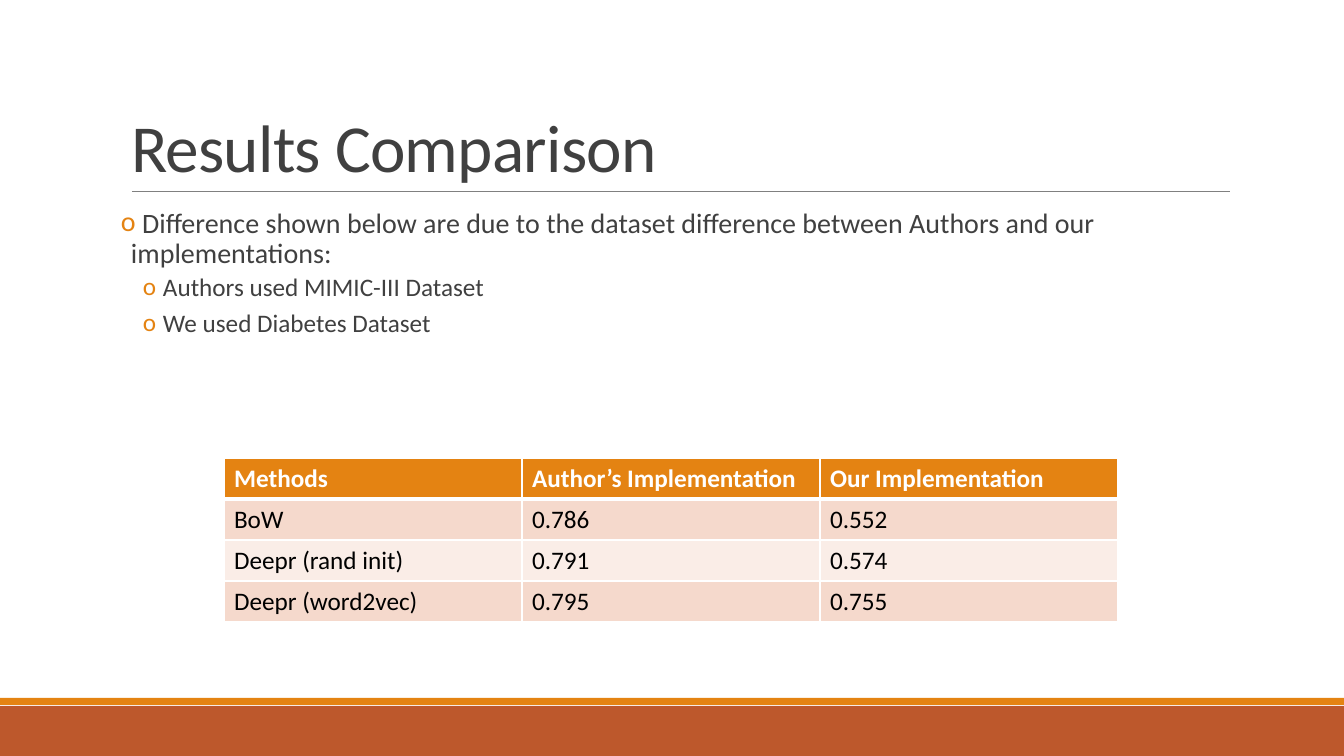
from lxml.etree import SubElement
from pptx import Presentation
from pptx.dml.color import RGBColor
from pptx.enum.shapes import MSO_CONNECTOR, MSO_SHAPE
from pptx.enum.text import MSO_ANCHOR, MSO_AUTO_SIZE, PP_ALIGN
from pptx.oxml.ns import qn
from pptx.util import Pt

EMU_PER_PX = 914400 / 100.8
ORANGE, RUST, GREY, INK, WHITE, BLACK = (
    "E48312", "BD582C", "808080", "404040", "FFFFFF", "000000")
ROW_TINTS = ("F5D9CC", "FAEDE7")


def px(length):
    return round(length * EMU_PER_PX)


def colour(code):
    return RGBColor.from_string(code)


class SlideBuilder:
    def __init__(self, slide, font_name="Calibri"):
        self.slide = slide
        self.shapes = slide.shapes
        self.font_name = font_name

    def style(self, paragraph, size, code, bold=False):
        font = paragraph.font
        font.name, font.size, font.bold = self.font_name, Pt(size), bold
        font.color.rgb = colour(code)

    def place(self, shape, left, top, width, height):
        shape.left, shape.top = px(left), px(top)
        shape.width, shape.height = px(width), px(height)

    def band(self, left, top, width, height, code):
        band = self.shapes.add_shape(
            MSO_SHAPE.RECTANGLE, px(left), px(top), px(width), px(height))
        band.shadow.inherit = False
        band.fill.solid()
        band.fill.fore_color.rgb = colour(code)
        band.line.fill.background()

    def rule(self, left, right, y, code, weight):
        rule = self.shapes.add_connector(
            MSO_CONNECTOR.STRAIGHT, px(left), px(y), px(right), px(y))
        rule.line.color.rgb = colour(code)
        rule.line.width = Pt(weight)
        SubElement(rule._element.spPr, qn("a:effectLst"))

    def title(self, text, left, top, width, height):
        title = self.shapes.title
        self.place(title, left, top, width, height)
        frame = title.text_frame
        frame.text = text
        frame.auto_size = MSO_AUTO_SIZE.NONE
        frame.vertical_anchor = MSO_ANCHOR.BOTTOM
        heading = frame.paragraphs[0]
        heading.alignment = PP_ALIGN.LEFT
        heading.line_spacing = 0.85
        self.style(heading, 48, INK)
        heading._p.pPr.find(qn("a:defRPr")).set("spc", "-50")

    def bullets(self, items, left, top, width, height):
        box = self.shapes.add_textbox(px(left), px(top), px(width), px(height))
        frame = box.text_frame
        frame.word_wrap = True
        frame.margin_left = frame.margin_right = 0
        # Per level: text size, left margin, hanging indent, space before, after
        levels = ((20, 10, 10, 12, 2), (18, 42, 20, 2, 4))
        for index, (level, text) in enumerate(items):
            size, margin, hang, before, after = levels[level]
            item = frame.add_paragraph() if index else frame.paragraphs[0]
            item.text = text
            item.level = level
            item.line_spacing = 0.9
            item.space_before, item.space_after = Pt(before), Pt(after)
            props = item._p.get_or_add_pPr()
            props.set("marL", str(px(margin)))
            props.set("indent", str(px(-hang)))
            bullet_colour = SubElement(props, qn("a:buClr"))
            SubElement(bullet_colour, qn("a:srgbClr"), val=ORANGE)
            SubElement(props, qn("a:buFont"), typeface=self.font_name)
            SubElement(props, qn("a:buChar"), char="o")
            self.style(item, size, INK)

    def cell_borders(self, cell, top, bottom):
        props = cell._tc.get_or_add_tcPr()
        for side, weight in (("L", 1), ("R", 1), ("T", top), ("B", bottom)):
            border = SubElement(props, qn(f"a:ln{side}"), w=str(Pt(weight)))
            fill = SubElement(border, qn("a:solidFill"))
            SubElement(fill, qn("a:srgbClr"), val=WHITE)

    def table(self, rows, left, top, column_width, row_height):
        columns = len(rows[0])
        table = self.shapes.add_table(
            len(rows), columns, px(left), px(top),
            px(column_width * columns), px(row_height * len(rows))).table
        table.horz_banding = False
        for r, values in enumerate(rows):
            header = r == 0
            for c, value in enumerate(values):
                cell = table.cell(r, c)
                cell.text = value
                self.cell_borders(cell, 3 if r == 1 else 1, 3 if header else 1)
                cell.fill.solid()
                cell.fill.fore_color.rgb = colour(
                    ORANGE if header else ROW_TINTS[(r - 1) % 2])
                self.style(cell.text_frame.paragraphs[0], 18,
                           WHITE if header else BLACK, header)


def main():
    deck = Presentation()
    deck.slide_width, deck.slide_height = px(1344), px(756)
    title_only = deck.slide_layouts[5]
    page = SlideBuilder(deck.slides.add_slide(title_only))

    # Footer bands and heading
    page.band(0, 706, 1344, 50, RUST)
    page.band(0, 698, 1344, 7, ORANGE)
    page.rule(132, 1230, 191, GREY, 0.5)
    page.title("Results Comparison", 121, 31, 1109, 160)

    # Results by method
    page.table((
        ("Methods", "Author’s Implementation", "Our Implementation"),
        ("BoW", "0.786", "0.552"),
        ("Deepr (rand init)", "0.791", "0.574"),
        ("Deepr (word2vec)", "0.795", "0.755"),
    ), 224, 458, 298, 41)

    # Explanation of the difference
    page.bullets((
        (0, " Difference shown below are due to the dataset difference "
            "between Authors and our implementations:"),
        (1, "Authors used MIMIC-III Dataset"),
        (1, "We used Diabetes Dataset"),
    ), 121, 204, 1109, 233)

    deck.save("out.pptx")


if __name__ == "__main__":
    main()
